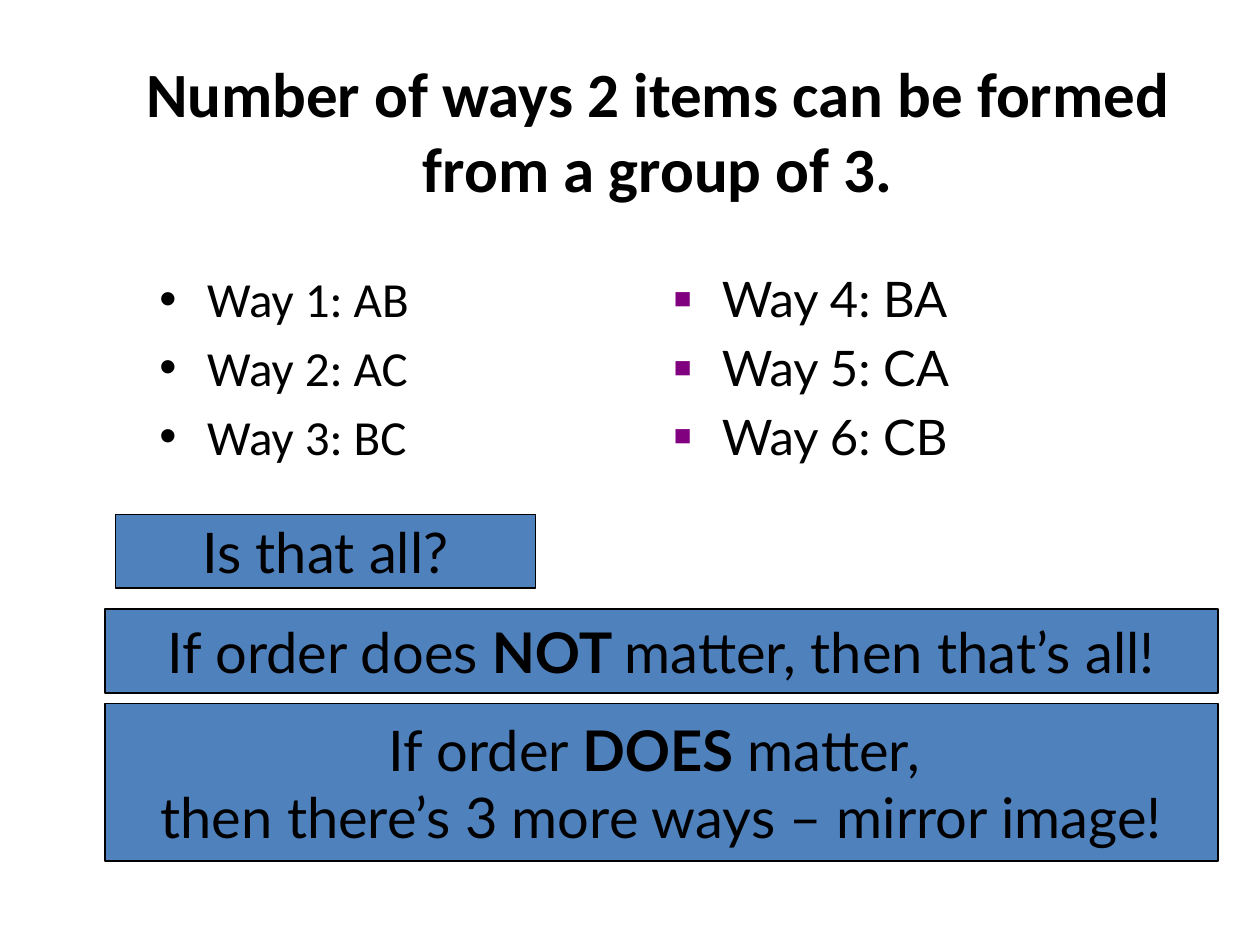
from dataclasses import dataclass
from typing import Optional

from lxml import etree
from pptx import Presentation
from pptx.dml.color import RGBColor
from pptx.enum.shapes import MSO_SHAPE
from pptx.enum.text import MSO_ANCHOR, PP_ALIGN
from pptx.oxml.ns import qn
from pptx.util import Inches, Pt

RECT = MSO_SHAPE.RECTANGLE
MIDDLE, TOP = MSO_ANCHOR.MIDDLE, MSO_ANCHOR.TOP
CENTER, LEFT = PP_ALIGN.CENTER, PP_ALIGN.LEFT

# Slide size, and a grid of twelfths of an inch
WIDTH, HEIGHT = Inches(10), Inches(7.5)
COLS, ROWS = 120, 90
BLACK, BLUE, PURPLE = "000000", "4F81BD", "800080"
INDENT = Inches(0.38)


@dataclass
class Area:
    """Position and size in grid columns and rows."""
    col: float
    row: float
    cols: float
    rows: float

    def box(self) -> tuple[int, int, int, int]:
        return (int(WIDTH * self.col / COLS), int(HEIGHT * self.row / ROWS),
                int(WIDTH * self.cols / COLS), int(HEIGHT * self.rows / ROWS))


@dataclass
class Bullet:
    char: str
    color: Optional[str] = None
    percent: int = 100


@dataclass
class Run:
    text: str
    bold: bool = False


@dataclass
class WayList:
    area: Area
    font: str
    bullet: Bullet
    items: list[str]


@dataclass
class Banner:
    area: Area
    lines: list[list[Run]]


TITLE = Area(8, 2.75, 109.33, 19.25)
LISTS = [
    WayList(Area(14, 25, 43.5, 27.5), "Calibri", Bullet("•"),
            ["Way 1: AB", "Way 2: AC", "Way 3: BC"]),
    WayList(Area(63, 25, 50, 22), "Lato", Bullet("■", PURPLE, 60),
            ["Way 4: BA", "Way 5: CA", "Way 6: CB"]),
]
BANNERS = [
    Banner(Area(11, 49, 40, 7), [[Run("Is that all?")]]),
    Banner(Area(10, 58, 106, 8),
           [[Run("If order does"), Run(" NOT ", True),
             Run("matter, then that’s all!")]]),
    Banner(Area(10, 67, 106, 15),
           [[Run("If order "), Run("DOES", True), Run(" matter, ")],
            [Run("then there’s 3 more ways – mirror image!")]]),
]


def rgb(color: str) -> RGBColor:
    return RGBColor.from_string(color)


def write(tf, lines: list[list[Run]], font: str, size: float,
          align=CENTER, anchor=MIDDLE, wrap: bool = True) -> None:
    """Fill a text frame with one paragraph for each line of runs."""
    tf.word_wrap, tf.vertical_anchor = wrap, anchor
    for i, line in enumerate(lines):
        p = tf.paragraphs[0] if i == 0 else tf.add_paragraph()
        p.alignment = align
        for part in line:
            r = p.add_run()
            r.text = part.text
            r.font.name, r.font.size, r.font.bold = font, Pt(size), part.bold
            r.font.color.rgb = rgb(BLACK)


def add_bullet(p, bullet: Bullet) -> None:
    """Give a paragraph a hanging bullet."""
    pPr = p._p.get_or_add_pPr()
    pPr.set("marL", str(INDENT))
    pPr.set("indent", str(-INDENT))
    if bullet.color:
        clr = etree.SubElement(pPr, qn("a:buClr"))
        etree.SubElement(clr, qn("a:srgbClr"), val=bullet.color)
    etree.SubElement(pPr, qn("a:buSzPct"), val=str(bullet.percent * 1000))
    etree.SubElement(pPr, qn("a:buFont"), typeface="Arial")
    etree.SubElement(pPr, qn("a:buChar"), char=bullet.char)


def draw_list(s, ways: WayList) -> None:
    tf = s.shapes.add_textbox(*ways.area.box()).text_frame
    write(tf, [[Run(item)] for item in ways.items], ways.font, 28, LEFT, TOP)
    for p in tf.paragraphs:
        p.space_before = Pt(5.6)
        add_bullet(p, ways.bullet)


def draw_banner(s, banner: Banner) -> None:
    sp = s.shapes.add_shape(RECT, *banner.area.box())
    sp.shadow.inherit = False
    sp.fill.solid()
    sp.fill.fore_color.rgb = rgb(BLUE)
    sp.line.color.rgb = rgb(BLACK)
    sp.line.width = Pt(0.75)
    write(sp.text_frame, banner.lines, "Lato", 32, wrap=False)


def main() -> None:
    prs = Presentation()
    prs.slide_width, prs.slide_height = WIDTH, HEIGHT
    s = prs.slides.add_slide(prs.slide_layouts[6])

    # Title
    title = s.shapes.add_textbox(*TITLE.box())
    heading = "Number of ways 2 items can be formed from a group of 3."
    write(title.text_frame, [[Run(heading, True)]], "Calibri", 36)

    # The six ways, in two lists
    for ways in LISTS:
        draw_list(s, ways)

    # Question and answers
    for banner in BANNERS:
        draw_banner(s, banner)

    prs.save("out.pptx")


if __name__ == "__main__":
    main()
